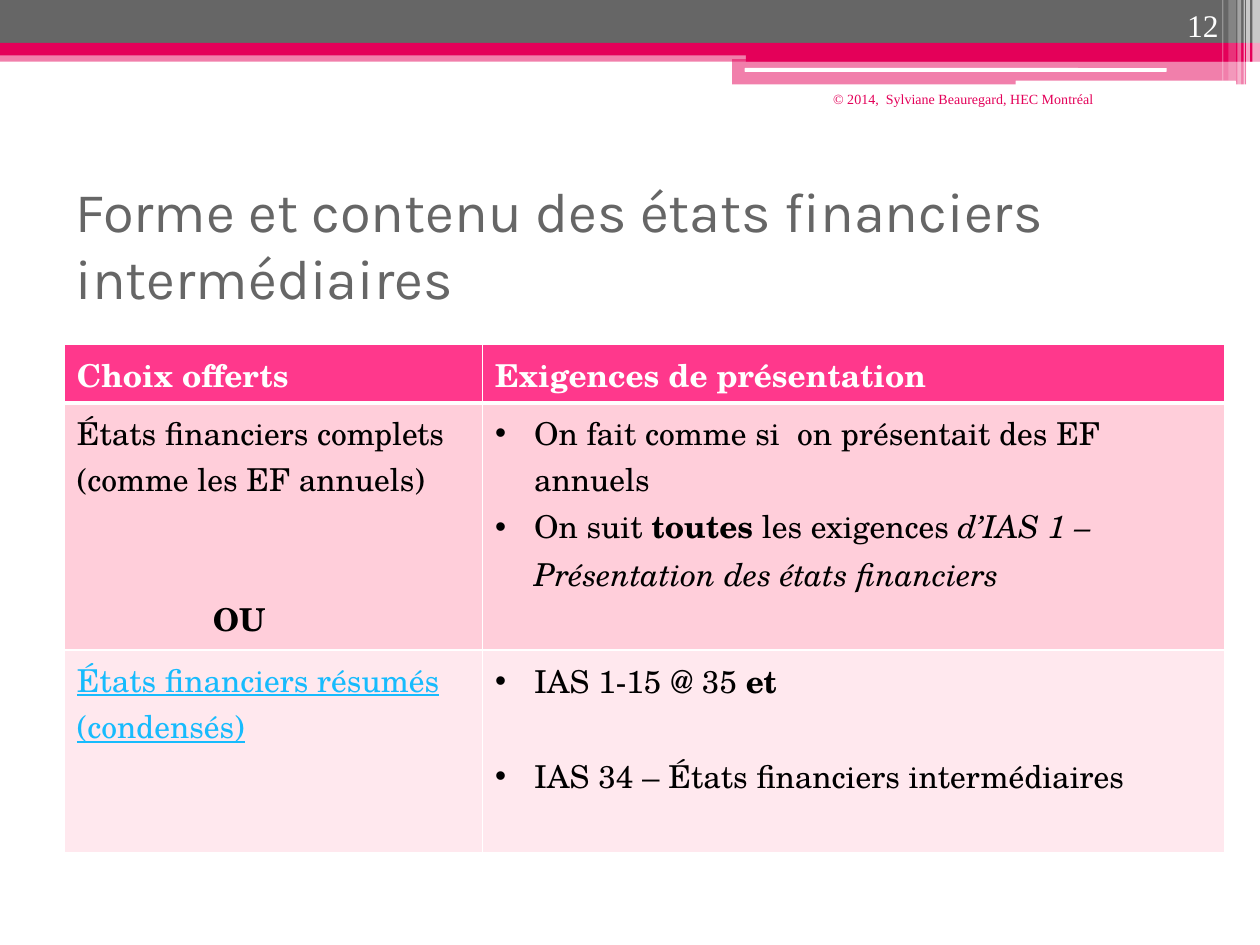
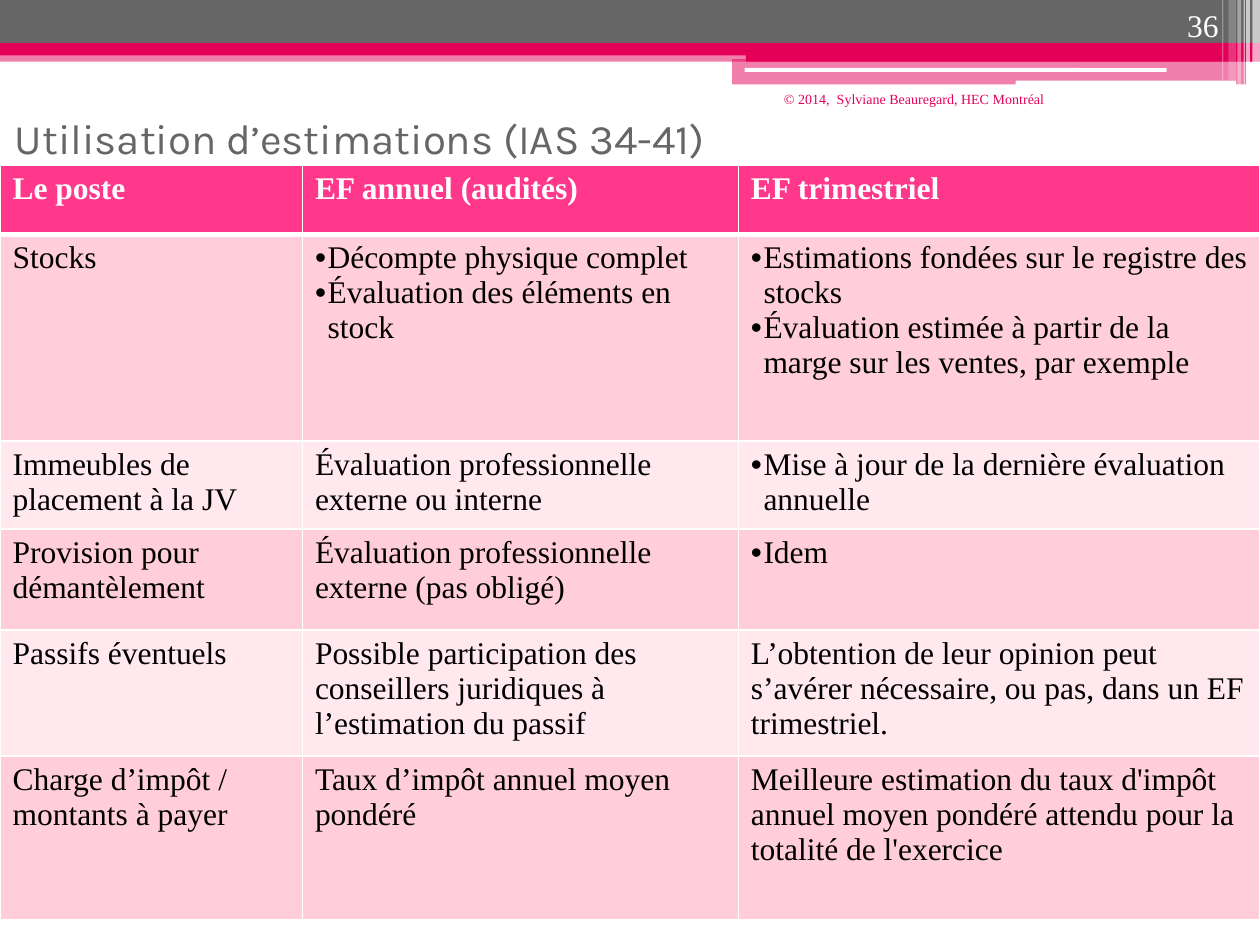
from lxml import etree
from pptx import Presentation
from pptx.dml.color import RGBColor
from pptx.enum.shapes import MSO_SHAPE
from pptx.enum.text import MSO_ANCHOR, PP_ALIGN
from pptx.oxml.ns import qn
from pptx.util import Inches, Pt

RECT, ROUND = MSO_SHAPE.RECTANGLE, MSO_SHAPE.ROUNDED_RECTANGLE
TOP, MIDDLE, BOTTOM = MSO_ANCHOR.TOP, MSO_ANCHOR.MIDDLE, MSO_ANCHOR.BOTTOM
LEFT, RIGHT = PP_ALIGN.LEFT, PP_ALIGN.RIGHT

WHITE = RGBColor(0xFF, 0xFF, 0xFF)
BLACK = RGBColor(0, 0, 0)
GREY = RGBColor(0x66, 0x66, 0x66)
RED = RGBColor(0xE4, 0x00, 0x59)
PINK = RGBColor(0xFF, 0x38, 0x8C)
ROSE = RGBColor(0xFF, 0xCE, 0xDA)
PALE = RGBColor(0xFF, 0xE8, 0xEE)
BLUE = RGBColor(0x17, 0xBB, 0xFD)

SANS, SCHOLA, TIMES = "Karla", "TeX Gyre Schola", "Times New Roman"
WIDE, HIGH = 10, 7.5
CREDIT = "© 2014,  Sylviane Beauregard, HEC Montréal"

BANDS = [
    (RECT, (0, 0.4, WIDE, 0.09), RED, 50),
    (RECT, (0, 0, WIDE, 0.34), GREY, 100),
    (RECT, (0, 0.34, WIDE, 0.1), RED, 100),
    (RECT, (5.92, 0.39, 4.08, 0.1), RED, 100),
    (RECT, (5.81, 0.47, 4.08, 0.2), RED, 50),
    (ROUND, (5.91, 0.54, 3.35, 0.03), WHITE, 100),
    (ROUND, (8.06, 0.64, 1.75, 0.04), WHITE, 100),
]
STRIPES = [
    (9.94, 0.06, 0.68, 65), (9.89, 0.03, 0.68, 65), (9.87, 0.01, 0.68, 60),
    (9.82, 0.03, 0.68, 40), (9.75, 0.06, 0.64, 20), (9.7, 0.01, 0.64, 30),
]
BANDS += [(RECT, (x, 0, w, h), WHITE, a) for x, w, h, a in STRIPES]


def par(*runs, dot=False, gap=0, left=0):
    pairs = [(r, "") if isinstance(r, str) else r for r in runs]
    return {"runs": pairs, "dot": dot, "gap": gap, "left": left}


def dot(*runs, gap=0):
    return par(*runs, dot=True, gap=gap)


FORMS = [
    ["Choix offerts", "Exigences de présentation"],
    [
        [par("États financiers complets (comme les EF annuels)"),
         par(("OU", "b"), gap=53, left=1.08)],
        [dot("On fait comme si  on présentait des EF annuels"),
         dot("On suit ", ("toutes", "b"), " les exigences ",
             ("d’IAS 1 – Présentation des états financiers", "i"))],
    ],
    [
        [par(("États financiers résumés (condensés)", "u"))],
        [dot("IAS 1-15 @ 35 ", ("et", "b")),
         dot("IAS 34 – États financiers intermédiaires", gap=27)],
    ],
]
ITEMS = [
    ["Le poste", "EF annuel (audités)", "EF trimestriel"],
    [
        "Stocks",
        [dot("Décompte physique complet"),
         dot("Évaluation des éléments en stock")],
        [dot("Estimations fondées sur le registre des stocks"),
         dot("Évaluation estimée à partir de la marge sur les ventes, "
             "par exemple")],
    ],
    [
        "Immeubles de placement à la JV",
        "Évaluation professionnelle externe ou interne",
        [dot("Mise à jour de la dernière évaluation annuelle")],
    ],
    [
        "Provision pour démantèlement",
        "Évaluation professionnelle externe (pas obligé)",
        [dot("Idem")],
    ],
    [
        "Passifs éventuels",
        "Possible participation des conseillers juridiques à "
        "l’estimation du passif",
        "L’obtention de leur opinion peut s’avérer nécessaire, ou pas, "
        "dans un EF trimestriel.",
    ],
    [
        "Charge d’impôt / montants à payer",
        "Taux d’impôt annuel moyen pondéré",
        "Meilleure estimation du taux d'impôt annuel moyen pondéré "
        "attendu pour la totalité de l'exercice",
    ],
]
PAGES = [
    {"title": "Forme et contenu des états financiers intermédiaires",
     "box": (0.5, 1.35, 9, 1.17), "size": 32, "anchor": MIDDLE,
     "page": "12", "credit": (5.75, 0.67, 3.03, 0.47),
     "cells": FORMS, "spot": (0.51, 2.73), "font": SCHOLA, "hang": 0.31,
     "cols": (3.32, 5.89), "rows": (0.47, 1.96, 1.61)},
    {"title": "Utilisation d’estimations (IAS 34-41)",
     "box": (0.02, 0.84, 9, 0.47), "size": 24, "anchor": TOP,
     "page": "36", "credit": (5.75, 0.67, 2.64, 0.5),
     "cells": ITEMS, "spot": (0, 1.31), "font": TIMES, "hang": 0.1,
     "cols": (2.4, 3.46, 4.14), "rows": (0.55, 1.64, 0.7, 0.8, 1, 1.3)},
]


def inch(nums):
    return [Inches(n) for n in nums]


def add_run(para, text, font, size, color, style=""):
    run = para.add_run()
    run.text = text
    face = run.font
    face.name, face.size = font, Pt(size)
    face.color.rgb = color
    face.bold, face.italic = "b" in style, "i" in style
    face.underline = "u" in style


def add_text(slide, box, text, font, size, color, anchor=TOP, align=LEFT):
    frame = slide.shapes.add_textbox(*inch(box)).text_frame
    frame.word_wrap = True
    frame.vertical_anchor = anchor
    para = frame.paragraphs[0]
    para.alignment = align
    add_run(para, text, font, size, color)


def add_bands(slide):
    for kind, box, color, alpha in BANDS:
        band = slide.shapes.add_shape(kind, *inch(box))
        band.shadow.inherit = False
        band.fill.solid()
        band.fill.fore_color.rgb = color
        band.line.fill.background()
        if alpha < 100:
            tint = band.element.spPr.find(".//" + qn("a:srgbClr"))
            etree.SubElement(tint, qn("a:alpha"), val=str(alpha * 1000))


def add_edges(cell, row):
    props = cell._tc.get_or_add_tcPr()
    wide = {"T": 3 if row == 1 else 1, "B": 3 if row == 0 else 1}
    for side in "LRTB":
        line = etree.SubElement(props, qn("a:ln" + side),
                                w=str(Pt(wide.get(side, 1))))
        fill = etree.SubElement(line, qn("a:solidFill"))
        etree.SubElement(fill, qn("a:srgbClr"), val=str(WHITE))


def fill_cell(cell, content, head, font, hang):
    if isinstance(content, str):
        content = [par((content, "b" if head else ""))]
    frame = cell.text_frame
    for n, item in enumerate(content):
        para = frame.add_paragraph() if n else frame.paragraphs[0]
        props = para._p.get_or_add_pPr()
        left = hang if item["dot"] else item["left"]
        if left:
            props.set("marL", str(Inches(left)))
        if item["dot"]:
            props.set("indent", str(-Inches(hang)))
            etree.SubElement(props, qn("a:buFont"), typeface="Arial")
            etree.SubElement(props, qn("a:buChar"), char="•")
        if item["gap"]:
            para.space_before = Pt(item["gap"])
        for text, style in item["runs"]:
            color = WHITE if head else BLUE if "u" in style else BLACK
            add_run(para, text, font, 18, color, style)


def add_grid(slide, page):
    cols, rows = page["cols"], page["rows"]
    box = (*page["spot"], sum(cols), sum(rows))
    grid = slide.shapes.add_table(len(rows), len(cols), *inch(box)).table
    for col, width in zip(grid.columns, cols):
        col.width = Inches(width)
    for r, line in enumerate(page["cells"]):
        grid.rows[r].height = Inches(rows[r])
        for c, content in enumerate(line):
            cell = grid.cell(r, c)
            add_edges(cell, r)
            cell.fill.solid()
            cell.fill.fore_color.rgb = (
                PINK if r == 0 else ROSE if r % 2 else PALE)
            fill_cell(cell, content, r == 0, page["font"], page["hang"])


def main():
    deck = Presentation()
    deck.slide_width, deck.slide_height = Inches(WIDE), Inches(HIGH)
    for page in PAGES:
        slide = deck.slides.add_slide(deck.slide_layouts[6])
        add_bands(slide)
        add_text(slide, page["box"], page["title"], SANS, page["size"],
                 GREY, page["anchor"])
        add_grid(slide, page)
        add_text(slide, page["credit"], CREDIT, TIMES, 8, RED, align=RIGHT)
        add_text(slide, (8.94, 0, 0.83, 0.4), page["page"], TIMES, 18,
                 WHITE, BOTTOM, RIGHT)
    deck.save("out.pptx")


if __name__ == "__main__":
    main()
